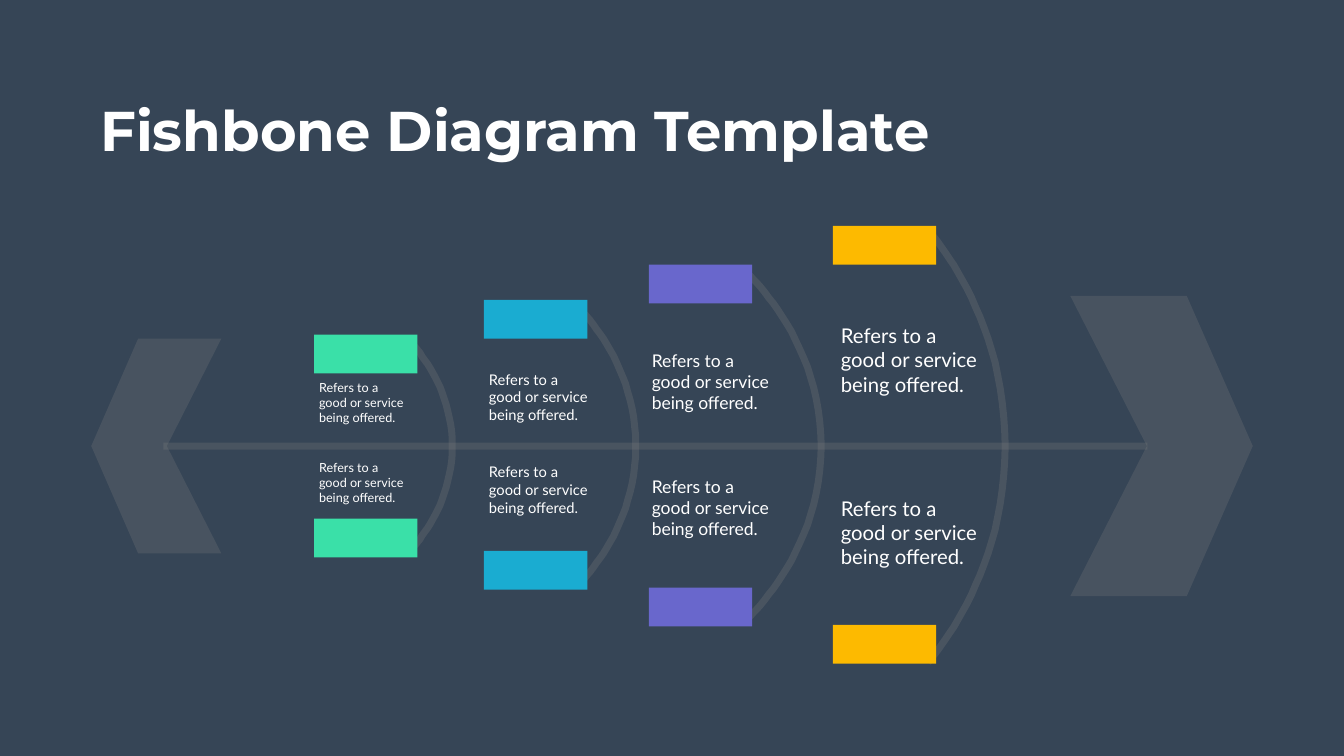
from lxml import etree
from pptx import Presentation
from pptx import util as u
from pptx.dml.color import RGBColor
from pptx.enum import shapes, text
from pptx.oxml.ns import qn

PX = u.Inches(1) // 100
COLORS = {"back": "364556", "bone": "808080", "text": "FFFFFF", "green": "3AE0A8",
          "blue": "1AACD1", "purple": "6967CC", "yellow": "FDBA00"}
AXIS = 885
TAG_W, TAG_H = 205, 77
NOTE = "Refers to a good or service being offered."
BONES = [
    {"color": "yellow", "arc": (1841, 456, 153), "x": 1652, "tags": (448, 1240),
     "note": (1658, 292, 157), "notes": (636, 979), "size": 29},
    {"color": "purple", "arc": (1474, 533, 155), "x": 1287, "tags": (525, 1166),
     "note": (1283, 258, 136), "notes": (690, 940), "size": 25},
    {"color": "blue", "arc": (1145, 607, 116), "x": 960, "tags": (595, 1093),
     "note": (960, 228, 116), "notes": (730, 914), "size": 21},
    {"color": "green", "arc": (808, 672, 89), "x": 623, "tags": (664, 1029),
     "note": (623, 189, 101), "notes": (749, 908), "size": 18},
]


def px(*lengths):
    """Turn px lengths into EMU."""
    return [int(n * PX) for n in lengths]


def paint(fill, color, alpha=None):
    """Give a fill a solid colour, with an optional opacity in percent."""
    fill.solid()
    fill.fore_color.rgb = RGBColor.from_string(COLORS[color])
    if alpha:
        clr = fill._xPr.find(qn("a:solidFill"))[0]
        etree.SubElement(clr, qn("a:alpha"), val=str(alpha * 1000))


def stroke(line):
    """Style a line as a translucent bone."""
    line.width = u.Pt(10)
    paint(line.fill, "bone", 25)


def outline(s, points, close):
    """Build a freeform through the given px points."""
    fb = s.shapes.build_freeform(*points[0], scale=PX)
    fb.add_line_segments(points[1:], close=close)
    sp = fb.convert_to_shape()
    sp.shadow.inherit = False
    return sp


def write(tf, words, font, size, bold=False):
    """Write one run into a text frame."""
    p = tf.paragraphs[0]
    p.alignment = text.PP_ALIGN.LEFT
    r = p.add_run()
    r.text = words
    r.font.name, r.font.size, r.font.bold = font, u.Pt(size), bold
    r.font.color.rgb = RGBColor.from_string(COLORS["text"])


def add_title(s, x, y, w, h):
    """Place the slide title."""
    sp = s.shapes.title
    sp.left, sp.top, sp.width, sp.height = px(x, y, w, h)
    tf = sp.text_frame
    tf.word_wrap = False
    tf.auto_size = text.MSO_AUTO_SIZE.SHAPE_TO_FIT_TEXT
    tf.vertical_anchor = text.MSO_ANCHOR.TOP
    write(tf, "Fishbone Diagram Template", "Montserrat", 80, True)


def add_spine(s, x1, x2):
    """Draw the horizontal spine."""
    cx = s.shapes.add_connector(shapes.MSO_CONNECTOR.STRAIGHT, *px(x1, AXIS, x2, AXIS))
    etree.SubElement(cx.line._get_or_add_ln().getparent(), qn("a:effectLst"))
    stroke(cx.line)


def add_arc(s, x, y, w, steps=24):
    """Draw a curved bone, mirrored about the spine."""
    h = AXIS - y
    half = []
    for i in range(steps + 1):
        t = i / steps
        a, b, c = 3 * t * (1 - t) ** 2, 3 * t * t * (1 - t), t ** 3
        half.append((x + w * (0.16 * a + b + c), y + h * (0.07 * a + 0.43 * b + c)))
    lower = [(px_x, 2 * AXIS - px_y) for px_x, px_y in half[-2::-1]]
    sp = outline(s, half + lower, False)
    sp.fill.background()
    stroke(sp.line)


def add_arrow(s, x, h, steps):
    """Draw a notched end of the fish; steps are x offsets of shoulder, tip, corner and notch."""
    shoulder, tip, corner, notch = (x + n for n in steps)
    top, bottom = AXIS - h / 2, AXIS + h / 2
    sp = outline(s, [(shoulder, bottom), (corner, bottom), (notch, AXIS), (corner, top),
                     (shoulder, top), (tip, AXIS)], True)
    paint(sp.fill, "bone", 25)
    sp.line.fill.background()


def add_labels(s, bone):
    """Place the colour tags and notes above and below the spine."""
    x, w, h = bone["note"]
    for tag_y, note_y in zip(bone["tags"], bone["notes"]):
        sp = s.shapes.add_shape(shapes.MSO_SHAPE.RECTANGLE,
                                *px(bone["x"], tag_y, TAG_W, TAG_H))
        sp.shadow.inherit = False
        paint(sp.fill, bone["color"])
        sp.line.fill.background()
        tf = s.shapes.add_textbox(*px(x, note_y, w, h)).text_frame
        tf.word_wrap = True
        tf.auto_size = text.MSO_AUTO_SIZE.SHAPE_TO_FIT_TEXT
        write(tf, NOTE, "Lato", bone["size"])


def main():
    """Build the slide and save it."""
    prs = Presentation()
    prs.slide_width, prs.slide_height = px(2666, 1500)
    s = prs.slides.add_slide(prs.slide_layouts[5])
    paint(s.background.fill, "back")
    add_title(s, 189, 185, 1671, 145)
    add_spine(s, 324, 2276)
    for bone in BONES:
        add_arc(s, *bone["arc"])
    for bone in BONES:
        add_labels(s, bone)
    add_arrow(s, 2123, 596, (231, 362, 0, 152))
    add_arrow(s, 181, 425, (93, 0, 258, 150))
    prs.save("out.pptx")


if __name__ == "__main__":
    main()
